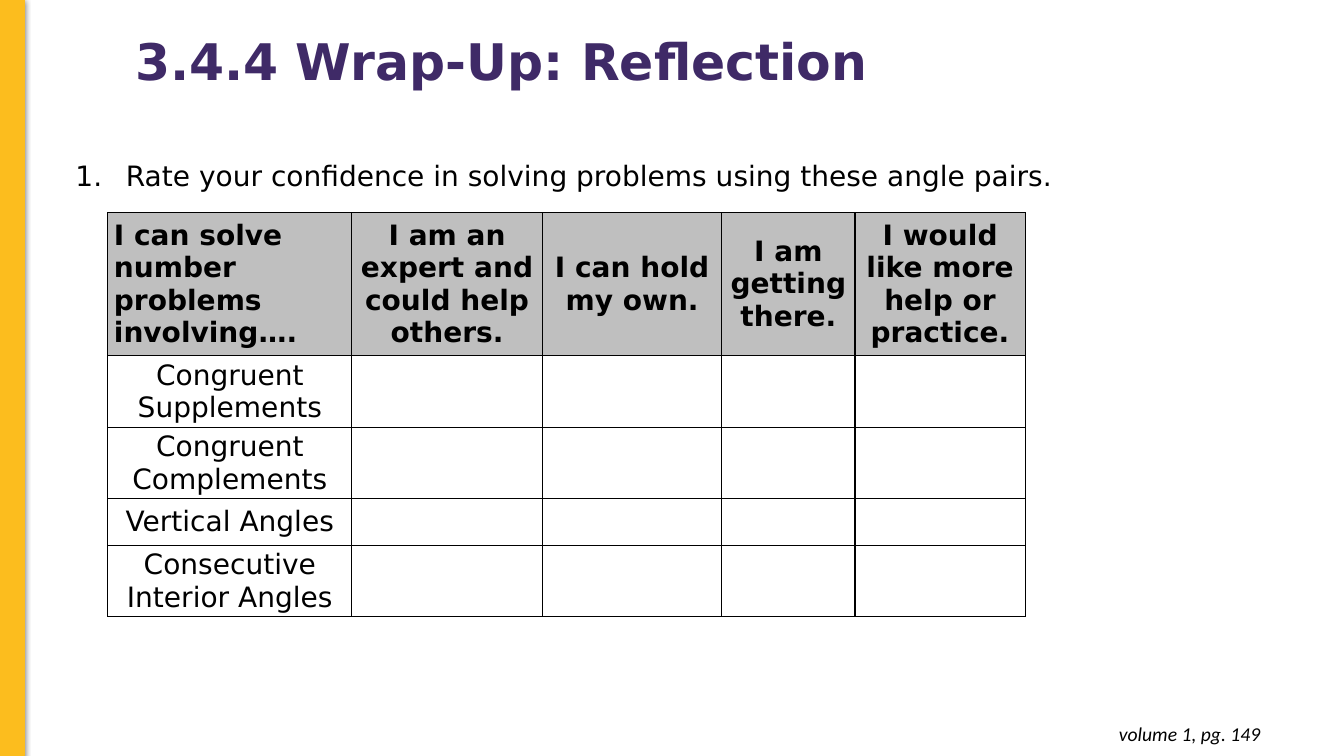
import dataclasses
import typing

import lxml.etree
import pptx
import pptx.dml.color
import pptx.enum.shapes
import pptx.enum.text
import pptx.oxml
import pptx.oxml.ns
import pptx.util

Inches = pptx.util.Inches
Pt = pptx.util.Pt
Align = pptx.enum.text.PP_ALIGN
Anchor = pptx.enum.text.MSO_ANCHOR
qn = pptx.oxml.ns.qn
SANS = "DejaVu Sans"
BLACK, GOLD, GRAY, PURPLE = "000000", "FCBD1E", "BFBFBF", "3F2A67"


@dataclasses.dataclass
class Style:
    size: float = 20
    name: str = SANS
    color: str = BLACK
    bold: bool = False
    italic: bool = False
    align: Align = Align.LEFT


@dataclasses.dataclass
class Box:
    left: float
    top: float
    width: float
    height: float

    def dims(self) -> list[int]:
        return [Inches(v) for v in dataclasses.astuple(self)]


def rgb(code: str) -> pptx.dml.color.RGBColor:
    return pptx.dml.color.RGBColor.from_string(code)


def apply(target: typing.Any, values: dict[str, typing.Any]) -> None:
    for key, value in values.items():
        setattr(target, key, value)


def add_xml(parent: typing.Any, tag: str, **attrs: str) -> typing.Any:
    node = lxml.etree.SubElement(parent, qn(tag))
    for key, value in attrs.items():
        node.set(key, value)
    return node


def write(frame: typing.Any, text: str, style: Style) -> None:
    frame.word_wrap = True
    frame.text = text
    for para in frame.paragraphs:
        para.alignment = style.align
        for run in para.runs:
            apply(run.font, {"size": Pt(style.size), "name": style.name,
                             "bold": style.bold, "italic": style.italic})
            run.font.color.rgb = rgb(style.color)


def add_text(slide: typing.Any, box: Box, text: str, style: Style) -> typing.Any:
    frame = slide.shapes.add_textbox(*box.dims()).text_frame
    write(frame, text, style)
    return frame


def add_title(slide: typing.Any, box: Box, text: str, style: Style) -> None:
    title = slide.shapes.title
    apply(title, dict(zip(("left", "top", "width", "height"), box.dims())))
    frame = title.text_frame
    write(frame, text, style)
    apply(frame, {"vertical_anchor": Anchor.MIDDLE,
                  "auto_size": pptx.enum.text.MSO_AUTO_SIZE.NONE})
    frame.paragraphs[0].line_spacing = 0.9


def add_bar(slide: typing.Any, box: Box) -> None:
    bar = slide.shapes.add_shape(pptx.enum.shapes.MSO_SHAPE.RECTANGLE, *box.dims())
    bar.fill.solid()
    bar.fill.fore_color.rgb = rgb(GOLD)
    bar.line.color.rgb = rgb(GOLD)
    bar.line.width = Pt(0.75)
    bar.shadow.inherit = False
    effects = bar._element.spPr.find(qn("a:effectLst"))
    shadow = add_xml(effects, "a:outerShdw", blurRad=str(Pt(4.5)),
                     dist=str(Pt(1.5)), dir="5400000", rotWithShape="0")
    add_xml(add_xml(shadow, "a:srgbClr", val=BLACK), "a:alpha", val="50000")


def add_item(slide: typing.Any, box: Box, text: str) -> None:
    para = add_text(slide, box, text, Style()).paragraphs[0]
    props = para._p.get_or_add_pPr()
    for key, value in {"marL": Inches(0.5), "indent": -Inches(0.5)}.items():
        props.set(key, str(value))
    add_xml(add_xml(props, "a:buClr"), "a:srgbClr", val=BLACK)
    add_xml(props, "a:buFont", typeface=SANS)
    add_xml(props, "a:buAutoNum", type="arabicPeriod")


def add_edges(cell: typing.Any) -> None:
    props = cell._tc.get_or_add_tcPr()
    for side in "LRTB":
        edge = add_xml(props, f"a:ln{side}", w=str(Pt(1)))
        add_xml(add_xml(edge, "a:solidFill"), "a:srgbClr", val=BLACK)


def add_grid(slide: typing.Any, box: Box, cols: list[float], rows: list[float],
             heads: list[str], labels: list[str]) -> None:
    grid = slide.shapes.add_table(len(rows), len(cols), *box.dims()).table
    apply(grid, {"first_row": False, "horz_banding": False})
    for col, width in zip(grid.columns, cols):
        col.width = Inches(width)
    for row, height in zip(grid.rows, rows):
        row.height = Inches(height)
    blanks = [""] * (len(cols) - 1)
    texts = [heads] + [[label] + blanks for label in labels]
    for r, line in enumerate(texts):
        for c, text in enumerate(line):
            cell = grid.cell(r, c)
            add_edges(cell)
            apply(cell, {"vertical_anchor": Anchor.MIDDLE,
                         "margin_left": Inches(0.06), "margin_right": Inches(0.06),
                         "margin_top": 0, "margin_bottom": 0})
            if r == 0:
                cell.fill.solid()
                cell.fill.fore_color.rgb = rgb(GRAY)
            else:
                cell.fill.background()
            if text:
                align = Align.LEFT if r == c == 0 else Align.CENTER
                write(cell.text_frame, text, Style(bold=r == 0, align=align))


def main() -> None:
    deck = pptx.Presentation()
    apply(deck, {"slide_width": Inches(13.33), "slide_height": Inches(7.5)})
    slide = deck.slides.add_slide(deck.slide_layouts[5])

    # Page reference
    note = add_text(slide, Box(9.72, 7.06, 2.88, 0.44), "volume 1, pg. 149",
                    Style(14, "Calibri", italic=True, align=Align.RIGHT))
    apply(note, {"margin_top": Inches(0.1), "margin_bottom": Inches(0.1)})

    # Title, side bar and question
    add_title(slide, Box(1.24, -0.09, 8.77, 1.45), "3.4.4 Wrap-Up: Reflection",
              Style(36, color=PURPLE, bold=True))
    add_item(slide, Box(0.65, 1.52, 10.92, 0.44),
             "Rate your confidence in solving problems using these angle pairs.")
    add_bar(slide, Box(0, -0.01, 0.24, 7.51))

    # Rating table
    add_grid(slide, Box(1.07, 2.11, 9.11, 4.02),
             [2.42, 1.89, 1.78, 1.32, 1.69], [1.42, 0.71, 0.71, 0.46, 0.71],
             ["I can solve number problems involving….",
              "I am an expert and could help others.", "I can hold my own.",
              "I am getting there.", "I would like more help or\npractice."],
             ["Congruent Supplements", "Congruent Complements",
              "Vertical Angles", "Consecutive Interior Angles"])

    deck.save("out.pptx")


if __name__ == "__main__":
    main()
